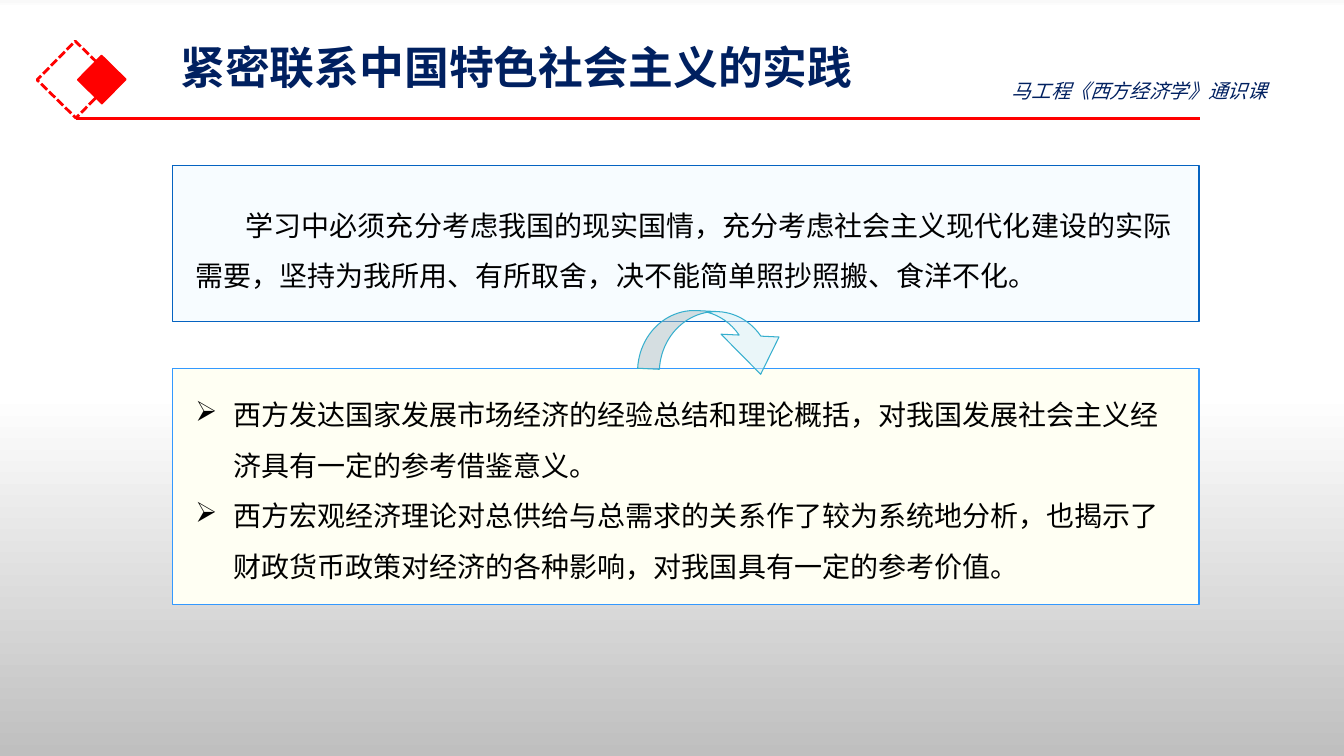
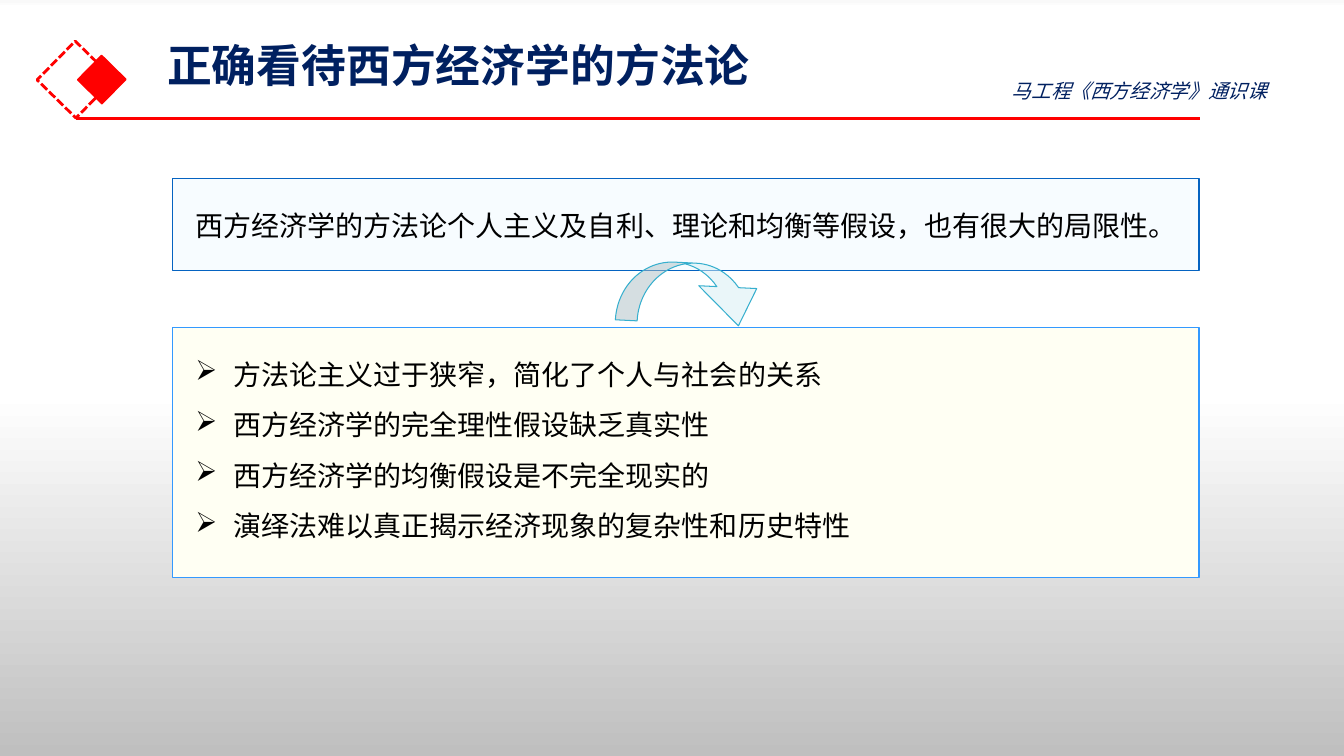
from lxml.etree import SubElement
from pptx import Presentation
from pptx.dml.color import RGBColor
from pptx.enum.dml import MSO_LINE
from pptx.enum.shapes import MSO_CONNECTOR, MSO_SHAPE
from pptx.enum.text import MSO_ANCHOR
from pptx.oxml.ns import qn
from pptx.util import Pt

RED = RGBColor(0xFF, 0x00, 0x00)
NAVY = RGBColor(0x00, 0x20, 0x60)
BLACK = RGBColor(0x00, 0x00, 0x00)
CREAM = RGBColor(0xFF, 0xFF, 0xF3)
SKY = RGBColor(0x33, 0x99, 0xFF)
ICE = RGBColor(0xF7, 0xFC, 0xFF)
BLUE = RGBColor(0x05, 0x63, 0xC1)
PALE_TEAL = RGBColor(0xD7, 0xEF, 0xF5)
TEAL = RGBColor(0x36, 0xAF, 0xCE)
NEAR_WHITE = RGBColor(0xF9, 0xF9, 0xF9)
WHITE = RGBColor(0xFF, 0xFF, 0xFF)
GREY = RGBColor(0xBF, 0xBF, 0xBF)

BACKGROUND_STOPS = [(1, NEAR_WHITE), (1, WHITE), (52, WHITE), (100, GREY)]
BACKGROUND_STOPS[0] = (0, NEAR_WHITE)
FONT = "Noto Sans CJK SC"
TITLE = {"size": Pt(32), "bold": True}
COURSE = {"size": Pt(14), "italic": True}
BODY = {"size": Pt(20)}

PANEL_LEFT, PANEL_WIDTH = 123, 733.5
TEXT_LEFT = 132.5
INTRO_TOP = 133.2
RULE_TOP = 84.4


class LessonDeck:
    def __init__(self):
        self.deck = Presentation()
        self.deck.slide_width, self.deck.slide_height = Pt(960), Pt(540)
        self.page = None
        self.paint_background()

    def paint_background(self):
        master = self.deck.slide_master
        fill = master.background.fill
        fill.gradient()
        fill.gradient_angle = 270
        stops = next(master.element.iter(qn("a:gsLst")))
        for stop in list(stops):
            stops.remove(stop)
        for percent, color in BACKGROUND_STOPS:
            stop = SubElement(stops, qn("a:gs"), pos=str(percent * 1000))
            SubElement(stop, qn("a:srgbClr"), val=str(color))

    def add_page(self, title, left, top):
        self.page = self.deck.slides.add_slide(self.deck.slide_layouts[6])
        outline = self.shape(MSO_SHAPE.RECTANGLE, (34.6, 37.4, 38.9, 38.9), None, RED, 2)
        outline.line.dash_style = MSO_LINE.SQUARE_DOT
        diamond = self.shape(MSO_SHAPE.RECTANGLE, (60.5, 44.6, 24.5, 24.5), RED, RED, 1)
        for square in (outline, diamond):
            square.rotation = 314.5
        self.rule(54, 857, RULE_TOP)
        self.text([title], (left, top, 828, 47), TITLE, NAVY, anchor=MSO_ANCHOR.MIDDLE)
        self.text(["马工程《西方经济学》通识课"], (715.7, 52.6, 233.3, 24.5), COURSE, NAVY)

    def shape(self, kind, frame, fill, line, width=0.75):
        shape = self.page.shapes.add_shape(kind, *map(Pt, frame))
        shape.shadow.inherit = False
        if fill is None:
            shape.fill.background()
        else:
            shape.fill.solid()
            shape.fill.fore_color.rgb = fill
        shape.line.color.rgb = line
        shape.line.width = Pt(width)
        return shape

    def rule(self, start, end, top):
        rule = self.page.shapes.add_connector(
            MSO_CONNECTOR.STRAIGHT, Pt(start), Pt(top), Pt(end), Pt(top))
        rule.line.color.rgb = RED
        rule.line.width = Pt(2.25)
        SubElement(rule.element.spPr, qn("a:effectLst"))

    def text(self, paragraphs, frame, style, color, spacing=1.0,
             anchor=MSO_ANCHOR.TOP, margin=0, indent=0, bullet=None):
        box = self.page.shapes.add_textbox(*map(Pt, frame))
        box.text_frame.word_wrap = True
        box.text_frame.vertical_anchor = anchor
        for index, words in enumerate(paragraphs):
            para = box.text_frame.paragraphs[0] if index == 0 else box.text_frame.add_paragraph()
            para.line_spacing = spacing
            span = para.add_run()
            span.text = words
            for name, value in {"name": FONT, **style}.items():
                setattr(span.font, name, value)
            span.font.color.rgb = color
        for properties in box.element.iter(qn("a:rPr")):
            properties.set("lang", "zh-CN")
            SubElement(properties, qn("a:ea"), typeface=FONT)
        for properties in box.element.iter(qn("a:pPr")):
            properties.set("marL", str(Pt(margin)))
            properties.set("indent", str(Pt(indent)))
            if bullet:
                SubElement(properties, qn("a:buChar"), char=bullet)

    def panels(self, intro_frame, points_frame):
        for (top, height), fill, line in ((points_frame, CREAM, SKY), (intro_frame, ICE, BLUE)):
            self.shape(MSO_SHAPE.RECTANGLE, (PANEL_LEFT, top, PANEL_WIDTH, height), fill, line)

    def intro(self, words, height, indent=0):
        self.text([words], (TEXT_LEFT, INTRO_TOP, 724.3, height), BODY, BLACK,
                  spacing=1.5, indent=indent)

    def points(self, paragraphs, top):
        self.text(paragraphs, (TEXT_LEFT, top, 718.6, 152.6), BODY, BLACK,
                  spacing=1.5, margin=27, indent=-27, bullet="➢")

    def curved_arrow(self, left, top):
        arrow = self.shape(MSO_SHAPE.CURVED_UP_ARROW, (left, top, 108.7, 43.2), PALE_TEAL, TEAL)
        for index, value in enumerate((0.36, 0.96, 0.63)):
            arrow.adjustments[index] = value
        arrow.rotation = 182.8
        arrow.element.spPr.xfrm.set("flipH", "1")
        color = next(arrow.element.spPr.iter(qn("a:srgbClr")))
        SubElement(color, qn("a:alpha"), val="50000")


def main():
    lesson = LessonDeck()

    lesson.add_page("紧密联系中国特色社会主义的实践", 121.7, 24)
    lesson.panels((118, 111.5), (263, 169))
    lesson.intro("学习中必须充分考虑我国的现实国情，充分考虑社会主义现代化建设的实际需要，"
                 "坚持为我所用、有所取舍，决不能简单照抄照搬、食洋不化。", 80, indent=36)
    lesson.points([
        "西方发达国家发展市场经济的经验总结和理论概括，对我国发展社会主义经济具有一定的参考借鉴意义。",
        "西方宏观经济理论对总供给与总需求的关系作了较为系统地分析，也揭示了财政货币政策对经济的各种影响，"
        "对我国具有一定的参考价值。",
    ], 268.6)
    lesson.curved_arrow(456.5, 222.5)

    lesson.add_page("正确看待西方经济学的方法论", 112.3, 22.5)
    lesson.panels((127.5, 66), (234, 178.5))
    lesson.intro("西方经济学的方法论个人主义及自利、理论和均衡等假设，也有很大的局限性。", 44)
    lesson.points([
        "方法论主义过于狭窄，简化了个人与社会的关系",
        "西方经济学的完全理性假设缺乏真实性",
        "西方经济学的均衡假设是不完全现实的",
        "演绎法难以真正揭示经济现象的复杂性和历史特性",
    ], 239.8)
    lesson.curved_arrow(440.6, 187.9)

    lesson.deck.save("out.pptx")


if __name__ == "__main__":
    main()
